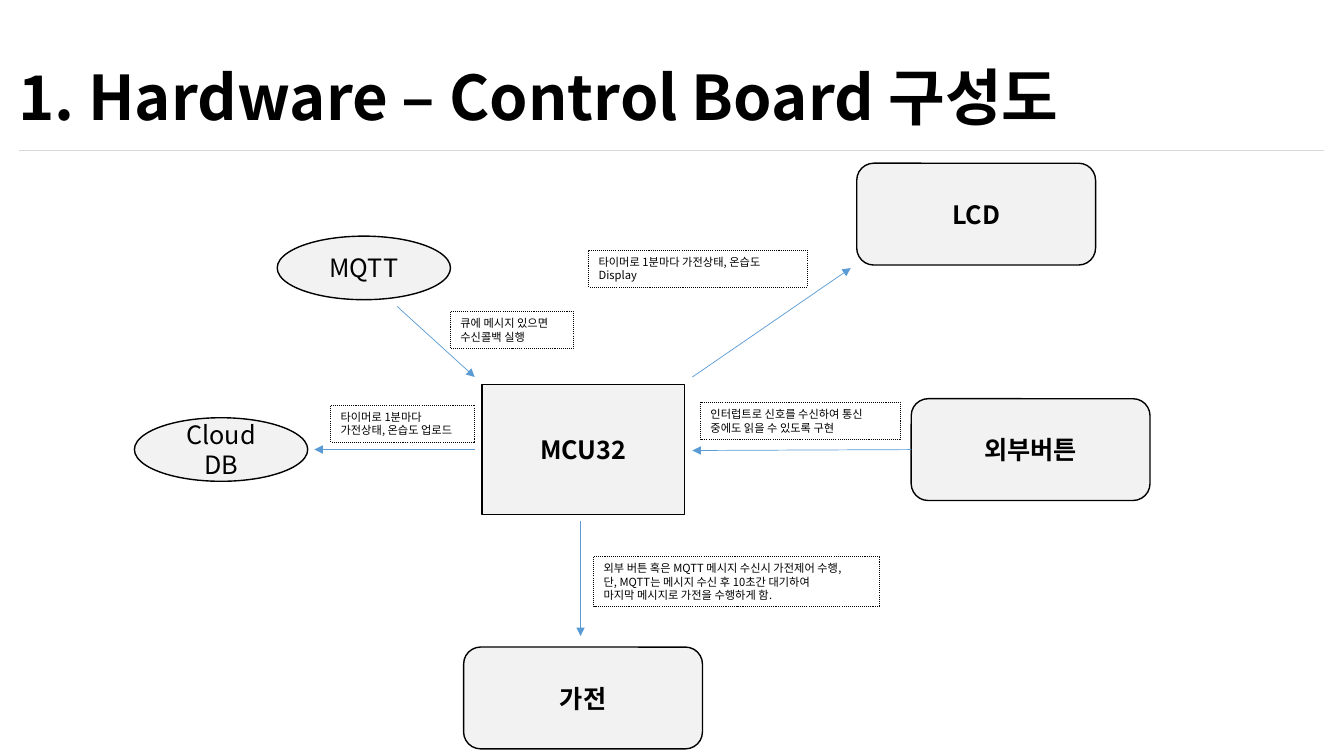
from lxml.etree import SubElement
from pptx import Presentation
from pptx.dml.color import RGBColor
from pptx.enum.dml import MSO_LINE
from pptx.enum.shapes import MSO_CONNECTOR, MSO_SHAPE
from pptx.enum.text import MSO_ANCHOR, PP_ALIGN
from pptx.oxml.ns import qn
from pptx.util import Pt

FONT = "Noto Sans CJK KR"
BLACK = RGBColor(0x00, 0x00, 0x00)
PALE = RGBColor(0xF2, 0xF2, 0xF2)
RULE = RGBColor(0xD9, 0xD9, 0xD9)
BLUE = RGBColor(0x5B, 0x9B, 0xD5)

DEVICE_SIZE = (170.6, 72.7)
SERVICE_SIZE = (123.8, 45.4)
BOARD_SIZE = (144.7, 92.9)


def write(shape, lines, size, bold=False, align=PP_ALIGN.LEFT, wrap=True):
    frame = shape.text_frame
    frame.word_wrap = wrap
    frame.text = "\n".join(lines)
    for para in frame.paragraphs:
        para.alignment = align
        para.line_spacing = Pt(round(size * 1.2, 1))
        for span in para.runs:
            span.font.name = FONT
            span.font.size = Pt(size)
            span.font.bold = bold
            span.font.color.rgb = BLACK
            SubElement(span.font._element, qn("a:ea"), typeface=FONT)


def add_title(page, text):
    box = page.shapes.add_textbox(Pt(5.8), Pt(38.2), Pt(772.6), Pt(60.5))
    write(box, [text], 44, bold=True, wrap=False)


def add_box(page, kind, left, top, width, height, line_width):
    box = page.shapes.add_shape(kind, Pt(left), Pt(top), Pt(width), Pt(height))
    box.shadow.inherit = False
    box.line.color.rgb = BLACK
    box.line.width = Pt(line_width)
    box.text_frame.vertical_anchor = MSO_ANCHOR.MIDDLE
    return box


def add_node(page, kind, left, top, size, label, bold=True):
    node = add_box(page, kind, left, top, *size, 1)
    node.fill.solid()
    node.fill.fore_color.rgb = PALE
    write(node, [label], 18, bold, PP_ALIGN.CENTER)
    return node


def add_note(page, left, top, width, height, *lines):
    note = add_box(page, MSO_SHAPE.RECTANGLE, left, top, width, height, 0.75)
    note.fill.background()
    note.line.dash_style = MSO_LINE.ROUND_DOT
    write(note, lines, 8, wrap=len(lines) == 1)


def add_line(page, start, end, color):
    points = [Pt(value) for value in (*start, *end)]
    line = page.shapes.add_connector(MSO_CONNECTOR.STRAIGHT, *points)
    line.line.color.rgb = color
    line.line.width = Pt(0.5)
    SubElement(line._element.spPr, qn("a:effectLst"))
    return line


def add_arrow(page, start, end):
    arrow = add_line(page, start, end, BLUE)
    SubElement(arrow.line._get_or_add_ln(), qn("a:tailEnd"), type="triangle")
    return arrow


def main():
    deck = Presentation()
    deck.slide_width, deck.slide_height = Pt(960), Pt(540)
    page = deck.slides.add_slide(deck.slide_layouts[6])

    add_line(page, (13.7, 107.3), (946, 107.3), RULE)
    add_title(page, "1. Hardware – Control Board 구성도")

    add_node(page, MSO_SHAPE.RECTANGLE, 344.2, 274.6, BOARD_SIZE, "MCU32")
    add_node(page, MSO_SHAPE.OVAL, 198, 168.7, SERVICE_SIZE, "MQTT", False)
    add_node(page, MSO_SHAPE.OVAL, 96, 298.4, SERVICE_SIZE, "Cloud DB", False)
    device = MSO_SHAPE.ROUNDED_RECTANGLE
    add_node(page, device, 331.2, 462.2, DEVICE_SIZE, "가전")
    add_node(page, device, 612, 116.6, DEVICE_SIZE, "LCD")
    button = add_node(page, device, 650.9, 284.8, DEVICE_SIZE, "외부버튼")

    add_arrow(page, (283.7, 218.9), (339.1, 269.3))
    add_arrow(page, (339.1, 321.1), (224.6, 321.1))
    add_arrow(page, (414.7, 372.2), (414.7, 454.3))
    add_arrow(page, (494.6, 269.3), (607.7, 191.5))
    signal = add_arrow(page, (650.9, 321.1), (494.6, 321.8))
    signal.begin_connect(button, 1)

    add_note(page, 321.8, 222.5, 87.8, 26.6,
             "큐에 메시지 있으면", "수신콜백 실행")
    add_note(page, 236.2, 289.4, 103, 26.6,
             "타이머로 1분마다", "가전상태, 온습도 업로드")
    add_note(page, 424.1, 397.4, 204.5, 36,
             "외부 버튼 혹은 MQTT 메시지 수신시 가전제어 수행,",
             "단, MQTT는 메시지 수신 후 10초간 대기하여",
             "마지막 메시지로 가전을 수행하게 함.")
    add_note(page, 500.4, 287.3, 142.6, 26.6,
             "인터럽트로 신호를 수신하여 통신 중에도 읽을 수 있도록 구현")
    add_note(page, 420.5, 178.6, 156.2, 26.6,
             "타이머로 1분마다 가전상태, 온습도 Display")

    deck.save("out.pptx")


if __name__ == "__main__":
    main()
